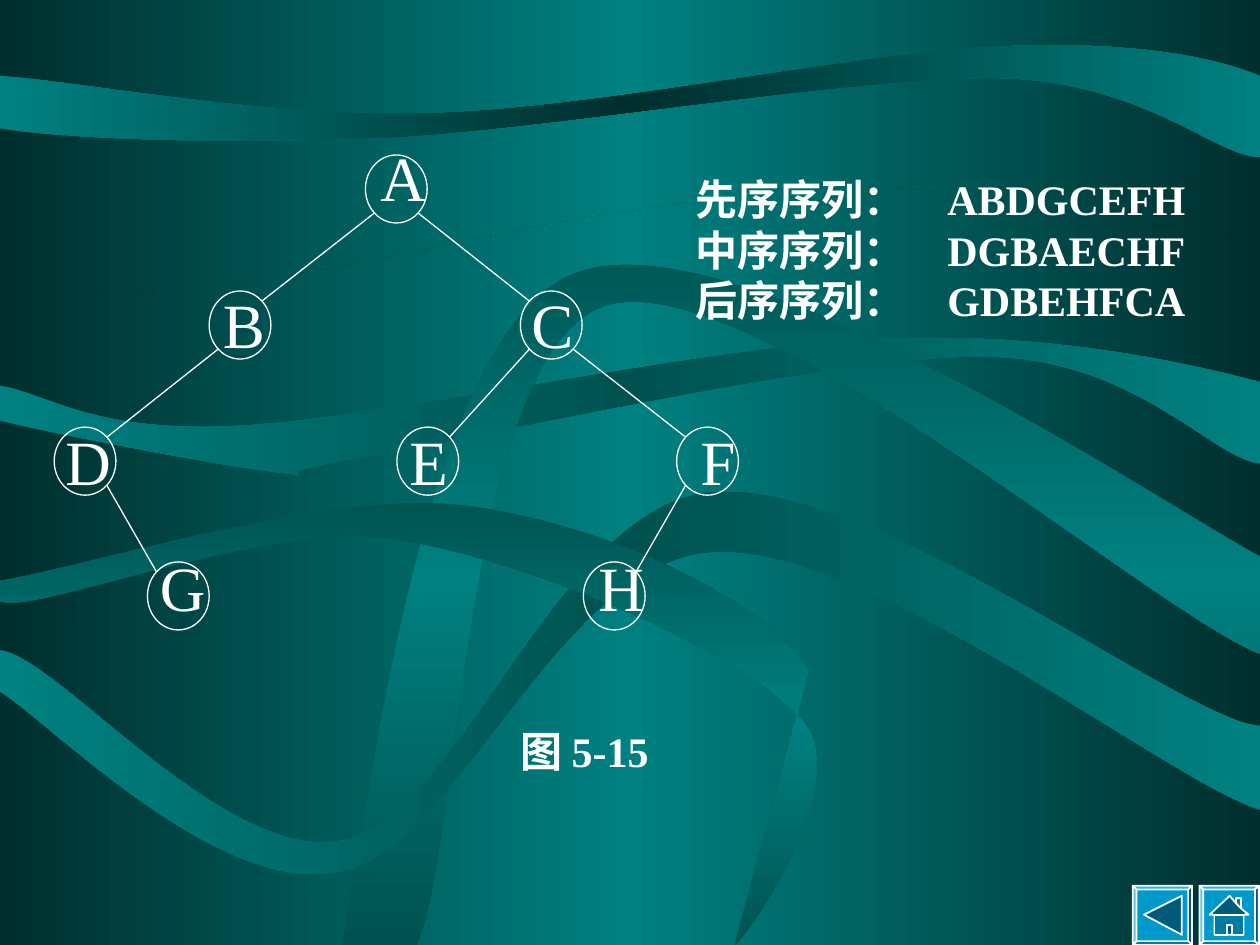
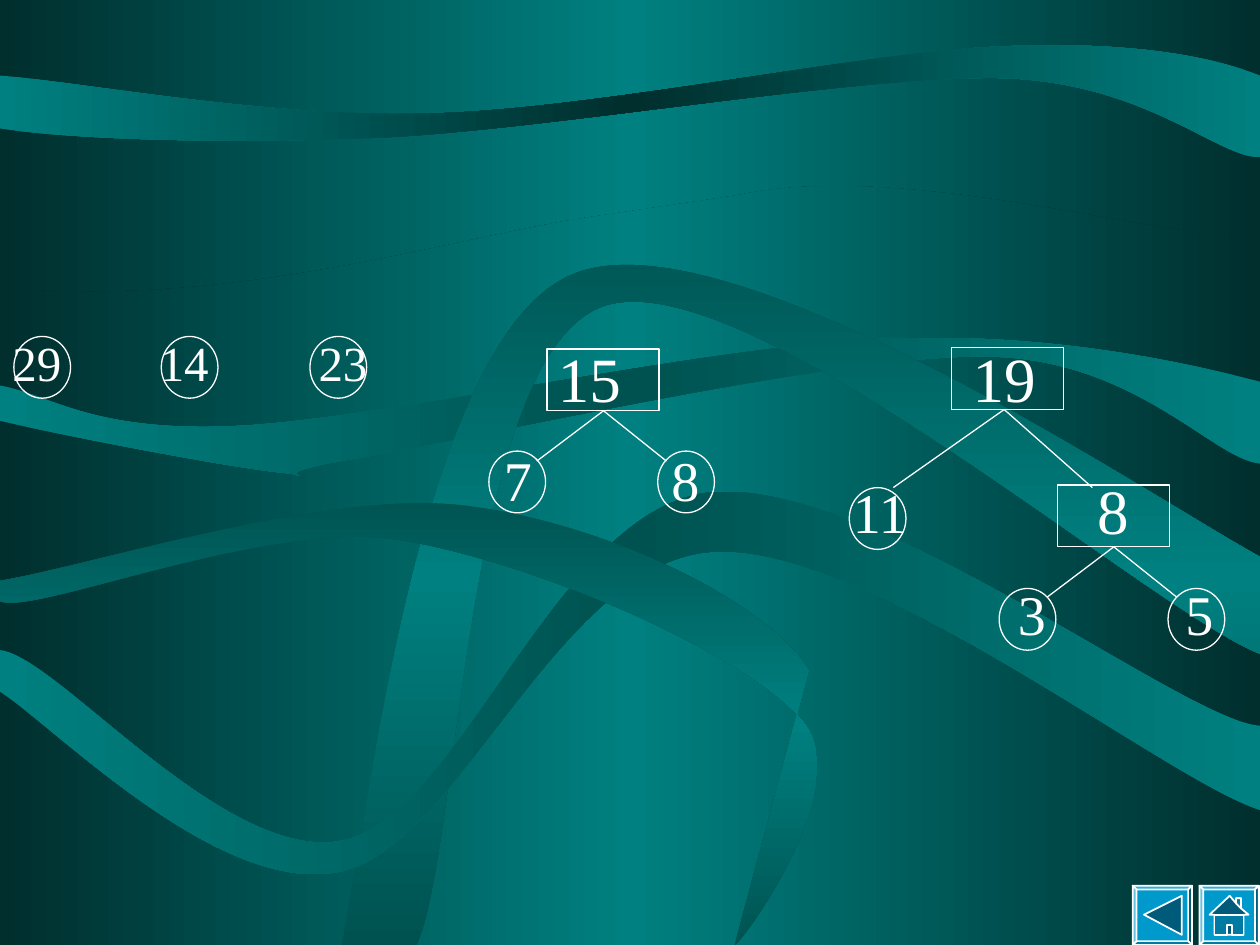
from copy import deepcopy
from dataclasses import dataclass

from lxml import etree
from pptx import Presentation
from pptx import util as u
from pptx.dml.color import RGBColor
from pptx.enum import shapes
from pptx.oxml.ns import qn


@dataclass(frozen=True)
class Theme:
    ink: str = "FFFFFF"
    deep: str = "002F2E"
    shade: str = "005250"
    teal: str = "008080"
    button: str = "0099CC"
    font: str = "Times New Roman"
    tree: int = 36
    leaf: int = 32
    forest: int = 28
    caption: int = 24
    thin: float = 0.75
    frame: float = 1


theme = Theme()


def paint_gradient(fill, owner, edge, middle, angle):
    fill.gradient()
    fill.gradient_angle = angle
    stop_list = owner.find(".//" + qn("a:gsLst"))
    stop_list.insert(1, deepcopy(stop_list[0]))
    for stop, place, color in zip(fill.gradient_stops, (0, 0.5, 1), (edge, middle, edge)):
        stop.position = place
        stop.color.rgb = RGBColor.from_string(color)


def trace(slide, faces):
    builder = None
    for tone, segments in faces:
        points = [(u.Inches(x), u.Inches(y))
                  for segment in segments for x, y in zip(segment[::2], segment[1::2])]
        if builder:
            builder.move_to(*points[0])
        else:
            builder = slide.shapes.build_freeform(*points[0])
        builder.add_line_segments(points[1:], close=True)
    outline = builder.convert_to_shape()
    outline.shadow.inherit = False
    merged = outline.element.find(".//" + qn("a:path"))
    commands = iter(list(merged))
    for tone, segments in faces:
        face = etree.SubElement(merged.getparent(), qn("a:path"),
                                w=merged.get("w"), h=merged.get("h"), fill=tone)
        for segment in segments:
            command = next(commands)
            if len(segment) == 2:
                face.append(command)
                continue
            curve = etree.SubElement(face, qn("a:cubicBezTo"))
            for control in (command, next(commands), next(commands)):
                curve.append(control[0])
        face.append(next(commands))
    merged.getparent().remove(merged)
    return outline


deck = Presentation()
deck.slide_width, deck.slide_height = u.Inches(10), u.Inches(7.5)
layout = deck.slide_layouts[6]
for holder in list(layout.placeholders):
    layout.shapes.element.remove(holder.element)
paint_gradient(layout.background.fill, layout.element, theme.deep, theme.teal, 0)
traversal = deck.slides.add_slide(layout)
forest = deck.slides.add_slide(layout)

ribbons = [
    (theme.deep, theme.teal, 0, [
        (0, 2.28), (1.78, 2.45, 3.4, 1.94, 4.58, 1.74), (4.58, 1.74, 5.67, 1.58, 5.86, 1.55),
        (7.15, 1.27, 9.17, 1.89, 10, 1.89), (10, 7.5), (0, 7.5)]),
    (theme.teal, theme.deep, 0, [
        (0, 0.6), (0, 1.02), (0.51, 1.1, 1.76, 1.15, 3.08, 1.09),
        (4.4, 1.02, 6.79, 0.6, 7.94, 0.62), (9.09, 0.65, 9.66, 1.25, 10, 1.25), (10, 0.6),
        (9.65, 0.46, 9.01, 0.32, 7.92, 0.37), (6.82, 0.42, 4.77, 0.86, 3.45, 0.9),
        (2.13, 0.94, 0.72, 0.66, 0, 0.6)]),
    (theme.teal, theme.shade, 0, [
        (0, 3.06), (0, 3.34), (0.37, 3.43, 1.75, 3.7, 2.22, 3.75),
        (2.69, 3.8, 1.9, 3.79, 2.82, 3.64), (3.75, 3.48, 6.6, 2.82, 7.8, 2.83),
        (9, 2.83, 9.63, 3.65, 10, 3.68), (10, 3.03), (9.5, 2.9, 8.36, 2.63, 7.01, 2.69),
        (5.66, 2.74, 3.07, 3.32, 1.9, 3.38), (0.73, 3.44, 0.4, 3.13, 0, 3.06)]),
    (theme.shade, theme.teal, 90, [
        (2.71, 7.5), (2.91, 6.61, 3.32, 2.69, 4.54, 2.18), (5.75, 1.66, 9.09, 3.92, 10, 4.42),
        (10, 5.19), (9.13, 4.85, 5.91, 2.05, 4.79, 2.43), (3.68, 2.82, 3.66, 6.66, 3.31, 7.5)]),
    (theme.teal, theme.shade, 0, [
        (0, 5.16), (0, 5.49), (0.45, 5.78, 1.74, 7.11, 2.69, 6.92),
        (3.63, 6.74, 4.43, 4.46, 5.65, 4.38), (6.87, 4.29, 9.27, 6.2, 10, 6.43), (10, 5.76),
        (9.38, 5.72, 6.91, 3.77, 5.62, 3.91), (4.41, 4.06, 3.67, 6.46, 2.73, 6.67),
        (1.79, 6.87, 0.45, 5.2, 0, 5.16)]),
    (theme.shade, theme.teal, 90, [
        (0, 4.61), (0, 4.77), (0.26, 4.89, 2.08, 4.13, 3.14, 4.28),
        (4.2, 4.44, 5.92, 5.18, 6.37, 5.72), (6.82, 6.25, 5.82, 7.57, 5.83, 7.5), (6.42, 5.32),
        (6.06, 4.74, 4.73, 4.13, 3.66, 4.01), (2.59, 3.89, 0.76, 4.48, 0, 4.61)]),
]
for edge, middle, angle, segments in ribbons:
    ribbon = trace(traversal, [("norm", segments)])
    ribbon.line.fill.background()
    paint_gradient(ribbon.fill, ribbon.element, edge, middle, angle)
    layout.shapes.element.append(ribbon.element)

orders = [("先序", "ABDGCEFH"), ("中序", "DGBAECHF"), ("后序", "GDBEHFCA")]
sequences = [f"{order}序列：\t{letters}" for order, letters in orders]
for slide, box, lines, size, tabs in [
    (traversal, (1.17, 4.42, 5.04, 0.67), ["G\tH"], theme.tree, (3.48,)),
    (traversal, (0.42, 3.42, 6.58, 0.67), ["D\tE\tF"], theme.tree, (2.73, 5.04)),
    (traversal, (1.67, 2.33, 4.84, 0.67), ["B\tC"], theme.tree, (2.45,)),
    (traversal, (2.92, 1.17, 1.35, 0.67), ["A"], theme.tree, ()),
    (traversal, (5.42, 1.33, 4.2, 1.7), sequences, theme.caption, (2,)),
    (traversal, (4.03, 5.71, 1.3, 0.5), ["图 5-15"], theme.caption, ()),
    (forest, (0, 2.68, 3.5, 0.61), ["29\t14\t23"], theme.forest, (1.17, 2.43)),
    (forest, (3.9, 3.59, 2.1, 0.61), ["7\t8"], theme.leaf, (1.33,)),
    (forest, (4.33, 2.76, 0.98, 0.72), ["15"], theme.tree, ()),
    (forest, (8.61, 3.81, 1.05, 0.61), ["8"], theme.tree, ()),
    (forest, (7.98, 4.65, 2.1, 0.61), ["3\t5"], theme.leaf, (1.33,)),
    (forest, (7.62, 2.76, 1.05, 0.61), ["19"], theme.tree, ()),
    (forest, (6.67, 3.84, 0.88, 0.72), ["11"], theme.leaf, ()),
]:
    frame = slide.shapes.add_textbox(*map(u.Inches, box)).text_frame
    is_caption = size == theme.caption
    frame.word_wrap = True
    for number, line in enumerate(lines):
        paragraph = frame.add_paragraph() if number else frame.paragraphs[0]
        paragraph.line_spacing = 1.0 if is_caption else 0.8
        if tabs:
            tab_list = etree.SubElement(paragraph._p.get_or_add_pPr(), qn("a:tabLst"))
            for tab in tabs:
                etree.SubElement(tab_list, qn("a:tab"), pos=str(u.Inches(tab)), algn="l")
        run = paragraph.add_run()
        run.text = line
        run.font.name = theme.font
        run.font.size = u.Pt(size)
        run.font.bold = is_caption
        run.font.color.rgb = RGBColor.from_string(theme.ink)

node_w, node_h = 0.49, 0.54
nodes = {
    "A": (2.9, 1.23), "H": (4.63, 4.46), "G": (1.17, 4.46), "D": (0.43, 3.39),
    "E": (3.15, 3.39), "F": (5.37, 3.39), "B": (1.66, 2.31), "C": (4.13, 2.31),
}
traversal_branches = []
for parent, child in ("AB", "AC", "BD", "CE", "CF", "DG", "FH"):
    (px, py), (cx, cy) = nodes[parent], nodes[child]
    near, far = (0.85, 0.15) if cx > px else (0.15, 0.85)
    traversal_branches.append((px + near * node_w, py + 0.85 * node_h,
                               cx + far * node_w, cy + 0.15 * node_h))

leaves = [(0.11, 2.67), (1.28, 2.67), (2.46, 2.67), (3.88, 3.58), (5.22, 3.58),
          (6.74, 3.87), (7.93, 4.67), (9.27, 4.67)]
sums = [(4.34, 2.77), (7.55, 2.76), (8.39, 3.85)]
forest_branches = [(7.97, 3.25, 7.09, 3.87), (7.97, 3.25, 8.67, 3.87)]
for x, y in ((4.79, 3.26), (8.84, 4.34)):
    forest_branches += [(x, y, x - 0.53, y + 0.4), (x, y, x + 0.5, y + 0.4)]

oval, rectangle = shapes.MSO_SHAPE.OVAL, shapes.MSO_SHAPE.RECTANGLE
for slide, kind, places, width, height in [
    (traversal, oval, nodes.values(), node_w, node_h),
    (forest, oval, leaves, 0.45, 0.49),
    (forest, rectangle, sums, 0.89, 0.49),
]:
    for x, y in places:
        node = slide.shapes.add_shape(kind, *map(u.Inches, (x, y, width, height)))
        node.shadow.inherit = False
        node.fill.background()
        node.line.color.rgb = RGBColor.from_string(theme.ink)
        node.line.width = u.Pt(theme.thin)

for slide, branches in ((traversal, traversal_branches), (forest, forest_branches)):
    for ends in branches:
        branch = slide.shapes.add_connector(shapes.MSO_CONNECTOR.STRAIGHT, *map(u.Inches, ends))
        branch.line.color.rgb = RGBColor.from_string(theme.ink)
        branch.line.width = u.Pt(theme.thin)
        etree.SubElement(branch.element.spPr, qn("a:effectLst"))

home_icon = [
    ("darken", [(9.76, 7.11), (9.81, 7.17), (9.81, 7.13), (9.85, 7.13), (9.85, 7.21), (9.91, 7.26),
                (9.87, 7.26), (9.87, 7.42), (9.64, 7.42), (9.64, 7.26), (9.6, 7.26)]),
    ("darkenLess", [(9.81, 7.17), (9.81, 7.13), (9.85, 7.13), (9.85, 7.21)]),
    ("darkenLess", [(9.74, 7.34), (9.78, 7.34), (9.78, 7.42), (9.87, 7.42), (9.87, 7.26),
                    (9.64, 7.26), (9.64, 7.42), (9.74, 7.42)]),
]
back_icon = [("darken", [(9.08, 7.26), (9.38, 7.11), (9.38, 7.42)])]
top, bottom, rim = 7.03, 7.5, 0.03
for slide in (traversal, forest):
    for left, icon in ((9.52, home_icon), (8.99, back_icon)):
        right = left + bottom - top
        outer = [(left, top), (right, top), (right, bottom), (left, bottom)]
        inner = [(left + rim, top + rim), (right - rim, top + rim),
                 (right - rim, bottom - rim), (left + rim, bottom - rim)]
        faces = [("norm", outer)]
        for side, tone in enumerate(("lightenLess", "darken", "darkenLess", "lighten")):
            after = (side + 1) % 4
            faces.append((tone, [outer[side], outer[after], inner[after], inner[side]]))
        button = trace(slide, faces + icon)
        button.fill.solid()
        button.fill.fore_color.rgb = RGBColor.from_string(theme.button)
        button.line.color.rgb = RGBColor.from_string(theme.ink)
        button.line.width = u.Pt(theme.frame)

deck.save("out.pptx")
